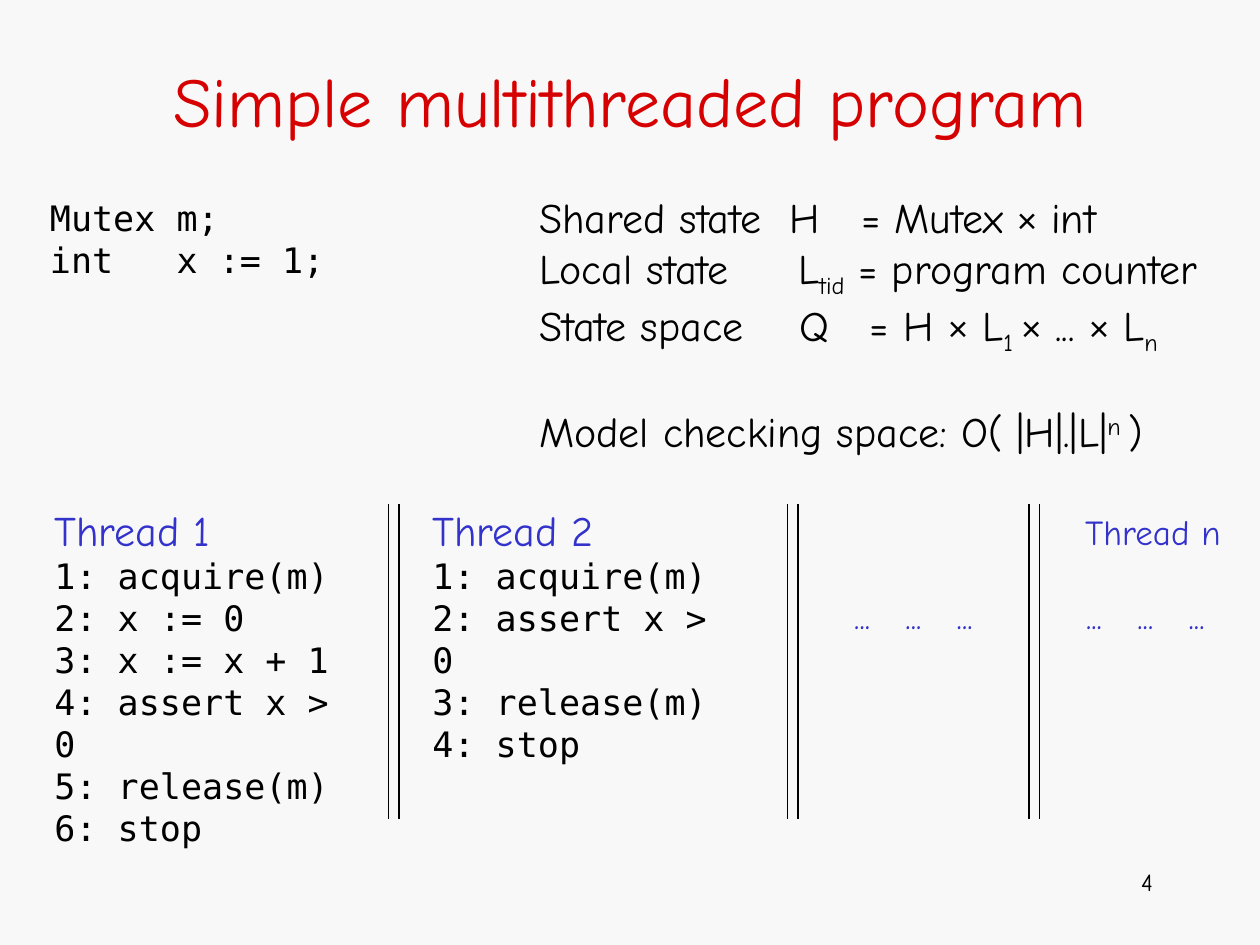
from dataclasses import dataclass

from lxml import etree
from pptx import Presentation
from pptx.dml.color import RGBColor
from pptx.enum.shapes import MSO_CONNECTOR
from pptx.enum.text import MSO_ANCHOR, MSO_AUTO_SIZE, PP_ALIGN
from pptx.oxml.ns import qn
from pptx.util import Pt

LEFT, CENTER, RIGHT = PP_ALIGN.LEFT, PP_ALIGN.CENTER, PP_ALIGN.RIGHT
MIDDLE = MSO_ANCHOR.MIDDLE
FIT_SHAPE, FIXED = MSO_AUTO_SIZE.SHAPE_TO_FIT_TEXT, MSO_AUTO_SIZE.NONE
STRAIGHT = MSO_CONNECTOR.STRAIGHT


@dataclass(frozen=True)
class Theme:
    background: str = "F8F8F8"
    title: str = "D60000"
    accent: str = "3333CC"
    ink: str = "000000"
    text_font: str = "Comic Neue"
    code_font: str = "DejaVu Sans Mono"
    symbol_font: str = "Arial"
    title_size: int = 40
    body_size: int = 24
    code_size: int = 20
    number_size: int = 14


THEME = Theme()

# Run and paragraph styles
BODY = {"size": THEME.body_size, "font": THEME.text_font, "color": THEME.ink}
CODE = {"size": THEME.code_size, "font": THEME.code_font, "color": THEME.ink}
HEADING = {**BODY, "color": THEME.accent}
SMALL_HEADING = {**HEADING, "size": THEME.code_size}
TITLE = {"size": THEME.title_size, "font": THEME.text_font, "color": THEME.title}
NUMBER = {**BODY, "size": THEME.number_size}
SYMBOL = {"size": THEME.code_size, "font": THEME.symbol_font}
SUB, SUPER = {"baseline": -25}, {"baseline": 30}

# Content: a line is a string or a list of strings and (text, style) runs
TITLE_TEXT = "Simple multithreaded program"
DECLARATIONS = ["Mutex m;", "int   x := 1;"]
TIMES = ("×", SYMBOL)
FORMULAS = [  # runs, tab stops, space before
    (["Shared state\tH\t= Mutex ", TIMES, " int"], (143, 184), 0),
    (["Local state\tL", ("tid", SUB), " = program counter"], (148,), 0),
    (["State space\tQ\t= H ", TIMES, " L", ("1 ", SUB), TIMES, " ... ", TIMES,
      " L", ("n", SUB)], (149, 189), 0),
    (["Model checking space: O( |H|.|L|", ("n ", SUPER), ")"], (), 28),
]
THREADS = [
    (24, "Thread 1", ["1: acquire(m)", "2: x := 0", "3: x := x + 1",
                      "4: assert x > 0", "5: release(m)", "6: stop"]),
    (240, "Thread 2", ["1: acquire(m)", "2: assert x > 0", "3: release(m)",
                       "4: stop"]),
]
ELLIPSES = "...\t...\t..."
ELLIPSIS_STEP = 29.3
ELLIPSIS_LEFTS = (481, 613.5)
DIVIDER_LEFTS = (222, 450, 588)
DIVIDER_GAP, DIVIDER_TOP, DIVIDER_BOTTOM = 6, 288, 468


def write_line(paragraph, line, size, font, color, align=LEFT, stops=(), before=0):
    """Fill a paragraph with runs, each free to override the line's format."""
    paragraph.alignment = align
    if before:
        paragraph.space_before = Pt(before)
    if stops:
        tabs = etree.SubElement(paragraph._p.get_or_add_pPr(), qn("a:tabLst"))
        for stop in stops:
            etree.SubElement(tabs, qn("a:tab"), pos=str(int(Pt(stop))), algn="l")
    for part in [line] if isinstance(line, str) else line:
        text, style = (part, {}) if isinstance(part, str) else part
        run = paragraph.add_run()
        run.text = text
        run.font.size = Pt(style.get("size", size))
        run.font.name = style.get("font", font)
        run.font.color.rgb = RGBColor.from_string(color)
        if "baseline" in style:
            run._r.get_or_add_rPr().set("baseline", str(style["baseline"] * 1000))


def add_text(slide, box, lines, wrap=False):
    """Add a text box from (line, format) pairs."""
    shape = slide.shapes.add_textbox(*(Pt(length) for length in box))
    frame = shape.text_frame
    frame.word_wrap = wrap
    frame.auto_size = FIXED if wrap else FIT_SHAPE
    for index, (line, style) in enumerate(lines):
        paragraph = frame.add_paragraph() if index else frame.paragraphs[0]
        write_line(paragraph, line, **style)


def add_divider(slide, x):
    line = slide.shapes.add_connector(
        STRAIGHT, Pt(x), Pt(DIVIDER_TOP), Pt(x), Pt(DIVIDER_BOTTOM))
    line.line.color.rgb = RGBColor.from_string(THEME.ink)
    line.line.width = Pt(0.75)
    etree.SubElement(line._element.spPr, qn("a:effectLst"))


def main():
    presentation = Presentation()
    presentation.slide_width, presentation.slide_height = Pt(720), Pt(540)
    slide = presentation.slides.add_slide(presentation.slide_layouts[5])
    slide.background.fill.solid()
    slide.background.fill.fore_color.rgb = RGBColor.from_string(THEME.background)

    # Title
    title = slide.shapes.title
    title.left, title.top, title.width, title.height = Pt(54), Pt(12), Pt(612), Pt(90)
    title.text_frame.vertical_anchor = MIDDLE
    write_line(title.text_frame.paragraphs[0], TITLE_TEXT, align=CENTER, **TITLE)

    # Declarations and state space
    add_text(slide, (21.5, 109, 171.5, 55.5), [(line, CODE) for line in DECLARATIONS])
    add_text(slide, (301, 106, 394, 159),
             [(runs, {**BODY, "stops": stops, "before": before})
              for runs, stops, before in FORMULAS])

    # Threads
    for left, heading, code in THREADS:
        height = 36 + 24 * len(code)
        add_text(slide, (left, 284.5, 195, height),
                 [(heading, HEADING)] + [(line, CODE) for line in code])
    add_text(slide, (613, 288, 92, 31.5), [("Thread n", SMALL_HEADING)])
    dots = {**SMALL_HEADING, "stops": (ELLIPSIS_STEP, 2 * ELLIPSIS_STEP)}
    for left in ELLIPSIS_LEFTS:
        add_text(slide, (left, 336, 82, 31.5), [(ELLIPSES, dots)])

    # Double dividers
    for left in DIVIDER_LEFTS:
        for x in (left, left + DIVIDER_GAP):
            add_divider(slide, x)

    # Slide number
    add_text(slide, (516, 492, 150, 36), [("4", {**NUMBER, "align": RIGHT})], wrap=True)

    presentation.save("out.pptx")


if __name__ == "__main__":
    main()
